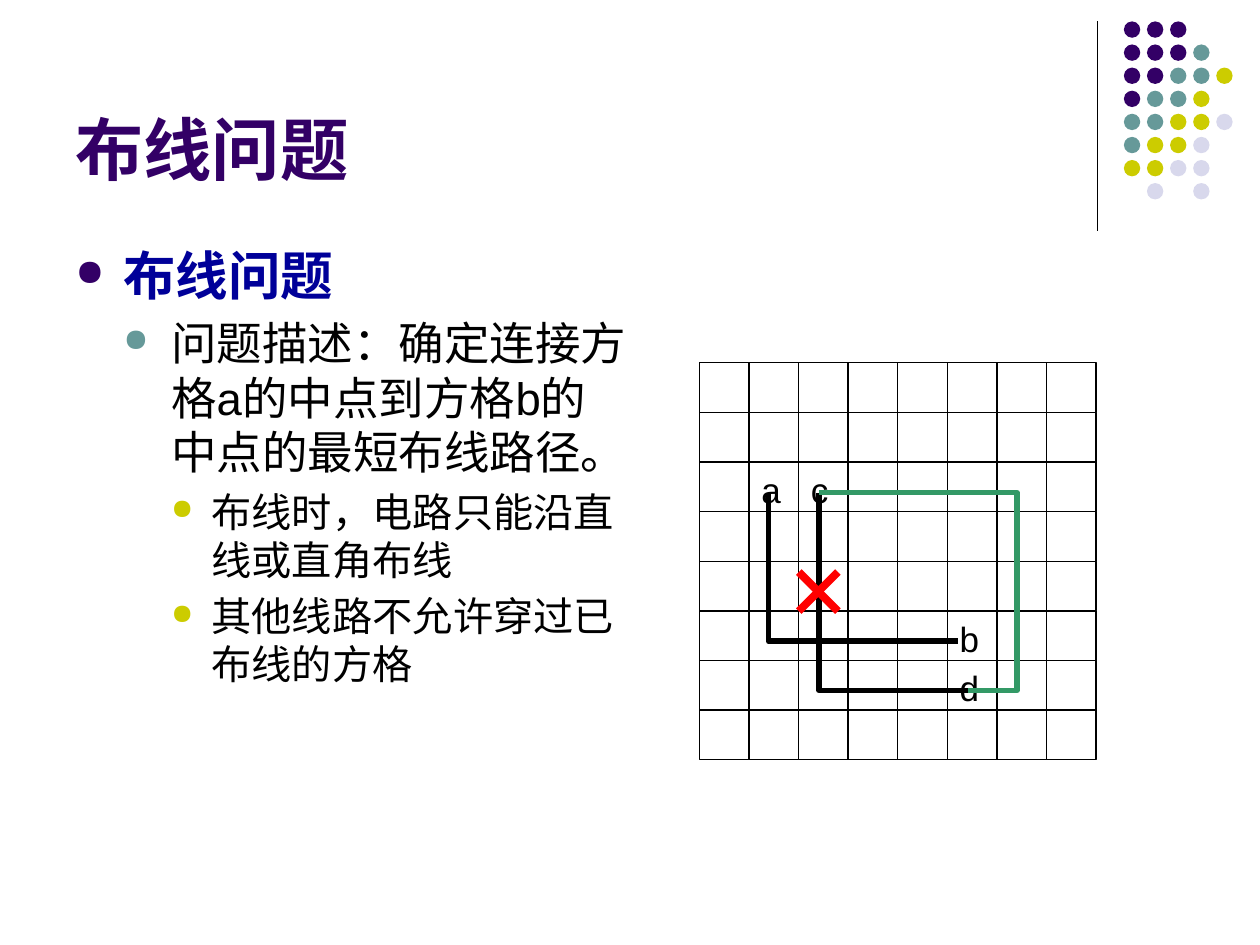
from lxml import etree
from pptx import Presentation
from pptx import util as u
from pptx.dml.color import RGBColor
from pptx.enum import shapes, text
from pptx.oxml.ns import qn

COLORS = {
    "purple": "330066", "teal": "669999", "olive": "CCCC00", "lilac": "D8D8EC",
    "navy": "000099", "black": "000000", "white": "FFFFFF", "red": "FF0000",
    "green": "339966",
}
DOT_COLORS = {"P": "purple", "T": "teal", "O": "olive", "L": "lilac"}
DOT_ROWS = ["PPP", "PPPT", "PPTTO", "PTTO", "TTOOL", "TOOL", "OOLL", " L L"]
DOT_SIZE, DOT_PITCH = 0.13, 0.55 / 3
GRID_LEFT, GRID_TOP, GRID_COUNT = 5.55, 2.88, 8
CELL = 3.15 / GRID_COUNT

LEVELS = [
    dict(indent=0.38, hanging=0.38, size=30, color="navy", bold=True, mark="purple"),
    dict(indent=0.76, hanging=0.38, size=26, color="black", bold=False, mark="teal"),
    dict(indent=1.08, hanging=0.32, size=23, color="black", bold=False, mark="olive"),
]
BODY = [
    (0, "布线问题"),
    (1, "问题描述：确定连接方格a的中点到方格b的中点的最短布线路径。"),
    (2, "布线时，电路只能沿直线或直角布线"),
    (2, "其他线路不允许穿过已布线的方格"),
]
LABELS = [("a", 1, 2), ("b", 5, 5), ("c", 2, 2), ("d", 5, 6)]
WIRES = [
    ([(6.1, 3.91), (6.1, 5.09), (7.6, 5.09)], "black"),
    ([(6.5, 3.91), (6.5, 5.48), (7.68, 5.48)], "black"),
]
DETOUR = [(6.5, 3.91), (8.07, 3.91), (8.07, 5.48), (7.68, 5.48)]


class Deck:
    """Holds the slide and the style of its elements."""

    font = "Arial"

    def __init__(self, slide):
        self.shapes = slide.shapes

    def rgb(self, name):
        return RGBColor.from_string(COLORS[name])

    def outline(self, sp, color, width):
        sp.line.color.rgb = self.rgb(color)
        sp.line.width = u.Pt(width)

    def shape(self, kind, x, y, size, fill, line=None):
        sp = self.shapes.add_shape(kind, *map(u.Inches, (x, y, size, size)))
        sp.shadow.inherit = False
        sp.fill.solid()
        sp.fill.fore_color.rgb = self.rgb(fill)
        if line:
            self.outline(sp, line, 0.75)
        else:
            sp.line.fill.background()

    def line(self, x1, y1, x2, y2, color, width):
        sp = self.shapes.add_connector(
            shapes.MSO_CONNECTOR.STRAIGHT, *map(u.Inches, (x1, y1, x2, y2)))
        self.outline(sp, color, width)
        etree.SubElement(sp._element.spPr, qn("a:effectLst"))

    def wire(self, points, color):
        start, *rest = [(u.Inches(x), u.Inches(y)) for x, y in points]
        builder = self.shapes.build_freeform(*start)
        builder.add_line_segments(rest, close=False)
        sp = builder.convert_to_shape()
        sp.shadow.inherit = False
        sp.fill.background()
        self.outline(sp, color, 3.25)

    def box(self, x, y, w, h, anchor=text.MSO_ANCHOR.TOP):
        sp = self.shapes.add_textbox(*map(u.Inches, (x, y, w, h)))
        tf = sp.text_frame
        tf.word_wrap = True
        tf.vertical_anchor = anchor
        return tf

    def label(self, p, words, size, color, bold=False):
        p.text = words
        for r in p.runs:
            r.font.name = self.font
            r.font.size = u.Pt(size)
            r.font.bold = bold
            r.font.color.rgb = self.rgb(color)

    def bullet(self, p, indent, hanging, color):
        pPr = p._p.get_or_add_pPr()
        pPr.set("marL", str(u.Inches(indent)))
        pPr.set("indent", str(-u.Inches(hanging)))
        clr = etree.SubElement(pPr, qn("a:buClr"))
        etree.SubElement(clr, qn("a:srgbClr"), val=COLORS[color])
        etree.SubElement(pPr, qn("a:buSzPct"), val="70000")
        etree.SubElement(pPr, qn("a:buChar"), char="●")

    def bullets(self, x, y, w, h, items):
        tf = self.box(x, y, w, h)
        for i, (level, words) in enumerate(items):
            style = LEVELS[level]
            p = tf.add_paragraph() if i else tf.paragraphs[0]
            p.level = level
            self.bullet(p, style["indent"], style["hanging"], style["mark"])
            if i:
                p.space_before = u.Pt(style["size"] * 0.2)
            self.label(p, words, style["size"], style["color"], style["bold"])


def main():
    prs = Presentation()
    prs.slide_width, prs.slide_height = u.Inches(10), u.Inches(7.5)
    s = Deck(prs.slides.add_slide(prs.slide_layouts[6]))

    s.line(8.71, 0.17, 8.71, 1.83, "black", 0.75)
    for row, dots in enumerate(DOT_ROWS):
        for col, dot in enumerate(dots):
            if dot in DOT_COLORS:
                s.shape(shapes.MSO_SHAPE.OVAL, 8.92 + col * DOT_PITCH,
                        0.17 + row * DOT_PITCH, DOT_SIZE, DOT_COLORS[dot])

    title = s.box(0.5, 0.13, 8.25, 1.42, text.MSO_ANCHOR.BOTTOM)
    s.label(title.paragraphs[0], "布线问题", 39, "purple", True)
    s.bullets(0.5, 1.88, 4.58, 4.82, BODY)

    for row in range(GRID_COUNT):
        for col in range(GRID_COUNT):
            s.shape(shapes.MSO_SHAPE.RECTANGLE, GRID_LEFT + col * CELL,
                    GRID_TOP + row * CELL, CELL, "white", "black")
    for letter, col, row in LABELS:
        tf = s.box(GRID_LEFT + col * CELL, GRID_TOP + row * CELL, CELL, 0.43)
        s.label(tf.paragraphs[0], letter, 20, "black")

    for points, color in WIRES:
        s.wire(points, color)
    s.line(6.34, 4.54, 6.65, 4.85, "red", 4.5)
    s.line(6.34, 4.85, 6.65, 4.54, "red", 4.5)
    s.wire(DETOUR, "green")
    prs.save("out.pptx")


if __name__ == "__main__":
    main()
